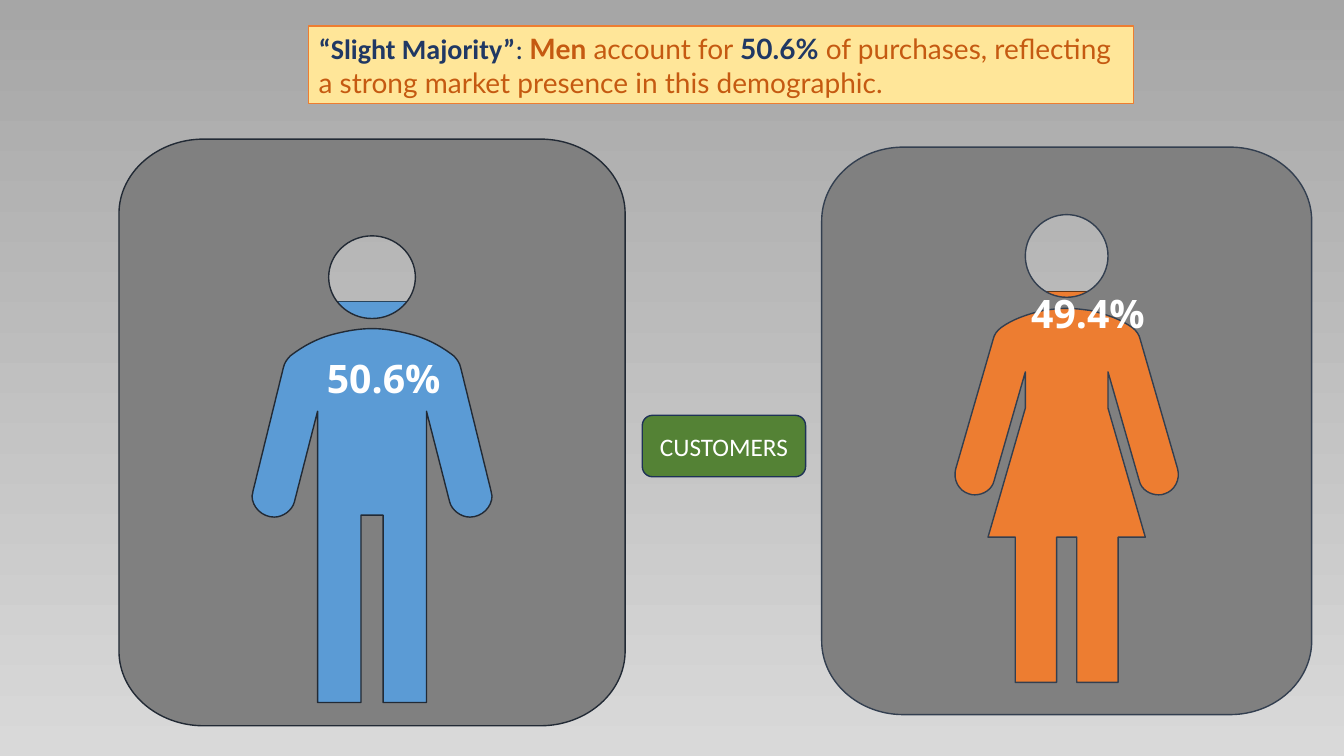
from lxml.etree import SubElement
from pptx import Presentation
from pptx.dml.color import RGBColor
from pptx.enum.shapes import MSO_SHAPE
from pptx.enum.text import MSO_ANCHOR, MSO_AUTO_SIZE, PP_ALIGN
from pptx.oxml.ns import qn
from pptx.util import Inches, Pt

WIDE, HIGH = 13.33, 7.5
ROUND = 0.55
WHITE, NAVY, RUST = "FFFFFF", "203864", "C55A11"
BANNER = [
    ("“Slight Majority”", "Calibri", NAVY, True),
    (": ", "Calibri", NAVY, False),
    ("Men", "Lato", RUST, True),
    (" account for ", "Lato", RUST, False),
    ("50.6%", "Lato", NAVY, True),
    (" of purchases, reflecting a strong market presence in this demographic.",
     "Lato", RUST, False),
]
WOMAN = {
    "axis": 10.58, "edge": "333F50",
    "level": (8.57, 2.89, 3.98, 3.93), "fill": "ED7D31", "rim": "683715",
    "panel": (1.46, 7.09, 2.43, 0.81, 0.73),
    "head": (2.54, 0.41, 0.41),
    "body": [
        (0, 3.06), (0.08, 3.06, 0.15, 3.07, 0.23, 3.08),
        (0.4, 3.12, 0.54, 3.17, 0.65, 3.25), (0.69, 3.28, 0.72, 3.32, 0.73, 3.37),
        (1.1, 4.65), (1.13, 4.76, 1.07, 4.87, 0.97, 4.9),
        (0.95, 4.91, 0.93, 4.91, 0.91, 4.91), (0.83, 4.91, 0.74, 4.86, 0.72, 4.77),
        (0.41, 3.69), (0.41, 4.05), (0.78, 5.33), (0.51, 5.33),
        (0.51, 6.77), (0.1, 6.77), (0.1, 5.33)],
    "share": "49.4%", "label": (10, 2.82, 1.58, 0.57),
}
MAN = {
    "axis": 3.69, "edge": "222A35",
    "level": (1.67, 2.99, 4.16, 4), "fill": "5B9BD5", "rim": "28445D",
    "panel": (1.38, 7.2, 2.51, 0.84, 0.74),
    "head": (2.75, 0.43, 0.41),
    "body": [
        (0, 3.26), (0.12, 3.26, 0.24, 3.28, 0.36, 3.31),
        (0.53, 3.35, 0.68, 3.43, 0.81, 3.53), (0.84, 3.56, 0.87, 3.6, 0.88, 3.65),
        (1.18, 4.87), (1.18, 4.89, 1.19, 4.91, 1.19, 4.92),
        (1.19, 5.03, 1.09, 5.13, 0.97, 5.13), (0.88, 5.13, 0.79, 5.06, 0.77, 4.98),
        (0.54, 4.08), (0.54, 6.97), (0.11, 6.97), (0.11, 5.11)],
    "share": "50.6%", "label": (3.06, 3.47, 1.49, 0.57),
}


def hue(code):
    return RGBColor.from_string(code)


def box(at):
    return [Inches(n) for n in at]


def paint(shape, fill, line):
    shape.shadow.inherit = False
    shape.fill.solid()
    shape.fill.fore_color.rgb = hue(fill)
    shape.line.color.rgb = hue(line)
    shape.line.width = Pt(1)


def label(at, text, font, size, bold=False):
    frame = slide.shapes.add_textbox(*box(at)).text_frame
    frame.word_wrap = True
    para = frame.paragraphs[0]
    para.text = text
    para.alignment = PP_ALIGN.CENTER
    para.font.name, para.font.size, para.font.bold = font, Pt(size), bold
    para.font.color.rgb = hue(WHITE)


def bend(x, top, base, wide, high):
    far, k = x + wide, ROUND
    upper = (x + k * wide, top, far, top + (1 - k) * high, far, top + high)
    lower = (far, base - (1 - k) * high, x + k * wide, base, x, base)
    side = [(far, base - high)] if base - top > 2 * high else []
    return [(x, top), upper, *side, lower]


def mirror(half):
    steps = [list(zip(s[::2], s[1::2])) for s in half]
    flip = [] if steps[-1][-1][0] == 0 else [[steps[-1][-1]]]
    for prior, step in reversed(list(zip(steps, steps[1:]))):
        flip.append(step[-2::-1] + [prior[-1]])
    return steps + [[(-x, y) for x, y in step] for step in flip]


def curve(shape, sizes):
    route = next(shape.element.iter(qn("a:path")))
    lines = iter(route.findall(qn("a:lnTo")))
    for size in sizes:
        group = [next(lines) for _ in range(size)]
        if size == 3:
            arc = SubElement(route, qn("a:cubicBezTo"))
            group[0].addprevious(arc)
            for line in group:
                arc.append(line[0])
                route.remove(line)


def figure(who):
    level = slide.shapes.add_shape(MSO_SHAPE.RECTANGLE, *box(who["level"]))
    paint(level, who["fill"], who["rim"])
    top, base, reach, wide, high = who["panel"]
    mid, across, down = who["head"]
    pen, sizes = None, []
    for half in (who["body"],
                 bend(0, mid - down, mid + down, across, down),
                 bend(reach - wide, top, base, wide, high)):
        first, *rest = [[(Inches(who["axis"] + x), Inches(y)) for x, y in step]
                        for step in mirror(half)]
        if pen is None:
            pen = slide.shapes.build_freeform(*first[0], scale=1.0)
        else:
            pen.move_to(*first[0])
        pen.add_line_segments([spot for step in rest for spot in step], close=True)
        sizes += [len(step) for step in rest]
    shape = pen.convert_to_shape()
    curve(shape, sizes)
    paint(shape, "808080", who["edge"])


deck = Presentation()
deck.slide_width, deck.slide_height = Inches(WIDE), Inches(HIGH)
slide = deck.slides.add_slide(deck.slide_layouts[5])
back = slide.background.fill
back.gradient()
back.gradient_angle = 270
for spot, (stop, code) in enumerate(zip(back.gradient_stops, ("A6A6A6", "D9D9D9"))):
    stop.color.rgb = hue(code)
    stop.position = spot

for who in (WOMAN, MAN):
    figure(who)
for who in (MAN, WOMAN):
    label(who["label"], who["share"], "Noto Sans", 28, True)

title = slide.shapes.title
title.left, title.top, title.width, title.height = box((3.06, 0.26, 8.18, 0.77))
paint(title, "FFE699", "ED7D31")
frame = title.text_frame
frame.word_wrap, frame.auto_size = True, MSO_AUTO_SIZE.NONE
frame.vertical_anchor = MSO_ANCHOR.MIDDLE
para = frame.paragraphs[0]
para.alignment = PP_ALIGN.LEFT
para.font.size = Pt(20)
for text, font, code, bold in BANNER:
    run = para.add_run()
    run.text = text
    run.font.name, run.font.bold = font, bold
    run.font.color.rgb = hue(code)

badge = slide.shapes.add_shape(MSO_SHAPE.ROUNDED_RECTANGLE, *box((6.37, 4.12, 1.62, 0.61)))
paint(badge, "548235", "1E3256")
label((6.37, 4.23, 1.62, 0.4), "CUSTOMERS", "Calibri", 18)

deck.save("out.pptx")
